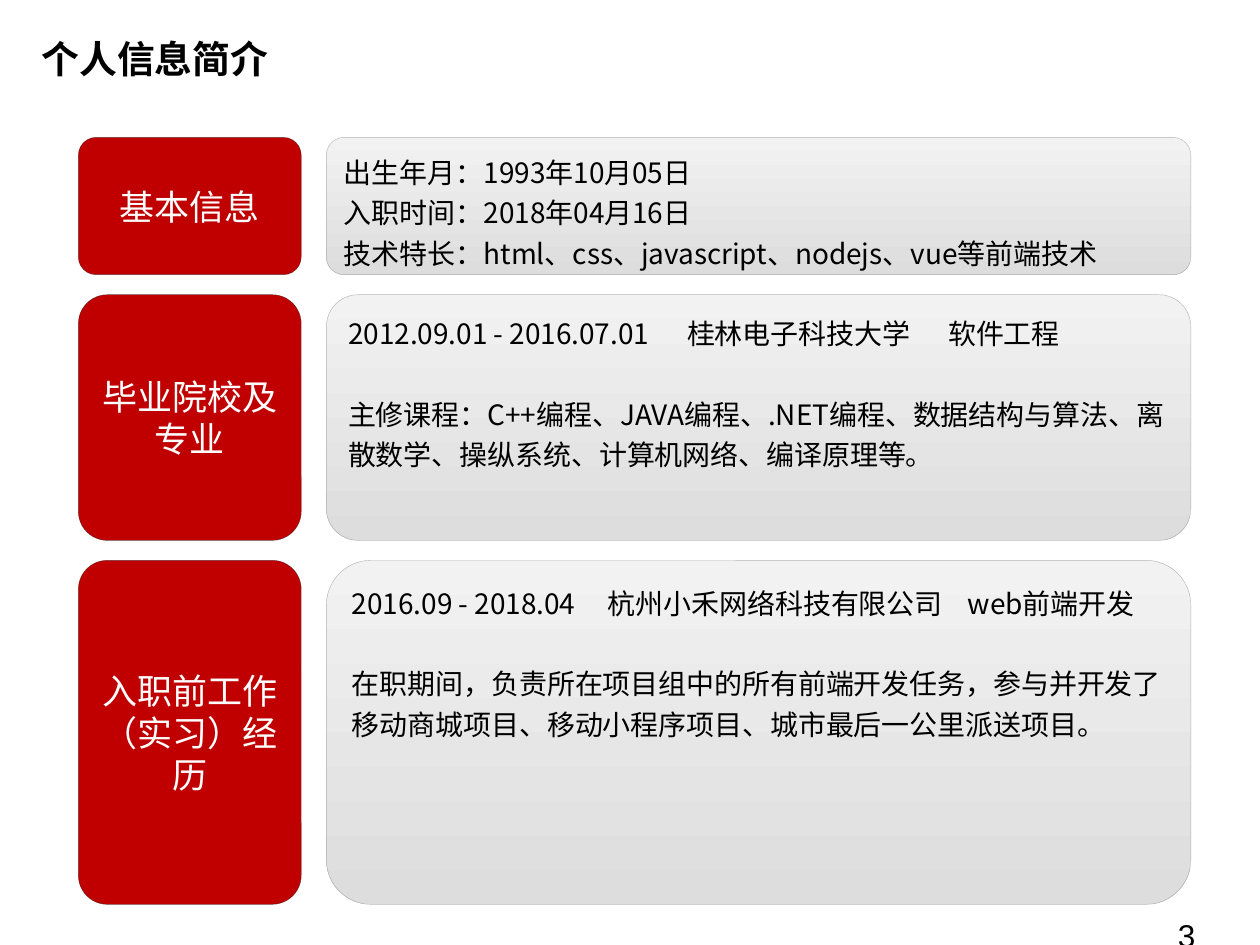
from lxml import etree
from pptx import Presentation
from pptx.dml.color import RGBColor
from pptx.enum.shapes import MSO_SHAPE
from pptx.enum.text import MSO_ANCHOR, PP_ALIGN
from pptx.oxml.ns import qn
from pptx.util import Pt

ROUND = MSO_SHAPE.ROUNDED_RECTANGLE
TOP, MIDDLE = MSO_ANCHOR.TOP, MSO_ANCHOR.MIDDLE
LEFT, CENTER = PP_ALIGN.LEFT, PP_ALIGN.CENTER


class Theme:
    # Colours
    black = RGBColor(0, 0, 0)
    white = RGBColor(255, 255, 255)
    red = RGBColor(0xC0, 0, 0)
    light = RGBColor(0xF2, 0xF2, 0xF2)
    gray = RGBColor(0xDD, 0xDD, 0xDD)
    dark_edge = RGBColor(0x1C, 0x1C, 0x1C)
    gray_edge = RGBColor(0x96, 0x96, 0x96)
    # Type
    font, digit = "Noto Sans CJK SC", "Arial"
    title, label, body, number = 21.6, 20, 16, 18


class Deck:
    def __init__(self, theme):
        self.theme = theme
        self.deck = Presentation()
        self.deck.slide_width, self.deck.slide_height = Pt(720), Pt(540)
        self.slide = self.deck.slides.add_slide(self.deck.slide_layouts[6])

    def run(self, para, words, size, color, bold=False, font=None):
        run = para.add_run()
        run.text = words
        name = font or self.theme.font
        run.font.name, run.font.size = name, Pt(size)
        run.font.bold, run.font.color.rgb = bold, color
        east = etree.SubElement(run.font._element, qn("a:ea"))
        east.set("typeface", name)

    def text(self, box, words, size, bold=False, font=None):
        frame = self.slide.shapes.add_textbox(*map(Pt, box)).text_frame
        frame.word_wrap = True
        self.run(frame.paragraphs[0], words, size, self.theme.black, bold, font)

    def card(self, box, edge, alpha, anchor):
        shape = self.slide.shapes.add_shape(ROUND, *map(Pt, box))
        shape.adjustments[0] = 0.13
        shape.shadow.inherit = False
        shape.line.color.rgb, shape.line.width = edge, Pt(0.25)
        tint = shape.line._ln.find(".//" + qn("a:srgbClr"))
        etree.SubElement(tint, qn("a:alpha")).set("val", str(alpha * 1000))
        shape.text_frame.word_wrap = True
        shape.text_frame.vertical_anchor = anchor
        return shape

    def label(self, box, words):
        shape = self.card(box, self.theme.dark_edge, 57, MIDDLE)
        shape.fill.solid()
        shape.fill.fore_color.rgb = self.theme.red
        para = shape.text_frame.paragraphs[0]
        para.alignment = CENTER
        self.run(para, words, self.theme.label, self.theme.white)

    def panel(self, box, lines, tabs, gap):
        shape = self.card(box, self.theme.gray_edge, 68, TOP)
        shape.fill.gradient()
        shape.fill.gradient_angle = 270
        for stop, color in zip(shape.fill.gradient_stops,
                               (self.theme.light, self.theme.gray)):
            stop.color.rgb = color
        frame = shape.text_frame
        for i, words in enumerate(lines):
            para = frame.add_paragraph() if i else frame.paragraphs[0]
            para.alignment, para.line_spacing = LEFT, 1.2
            para.space_before = Pt(gap if i else 0)
            if tabs and "\t" in words:
                self.stops(para, tabs)
            self.run(para, words, self.theme.body, self.theme.black)

    def stops(self, para, tabs):
        group = etree.SubElement(para._p.get_or_add_pPr(), qn("a:tabLst"))
        for place in tabs:
            tab = etree.SubElement(group, qn("a:tab"))
            tab.set("pos", str(Pt(place)))
            tab.set("algn", "l")


# Rows: height, label, lines, tab stops, space between paragraphs
ROWS = [
    (78.5, "基本信息",
     ["出生年月：1993年10月05日",
      "入职时间：2018年04月16日",
      "技术特长：html、css、javascript、nodejs、vue等前端技术"], (), 0),
    (140.4, "毕业院校及专业",
     ["2012.09.01 - 2016.07.01\t桂林电子科技大学\t软件工程",
      "主修课程：C++编程、JAVA编程、.NET编程、数据结构与算法、"
      "离散数学、操纵系统、计算机网络、编译原理等。"], (193.7, 342.9), 23.1),
    (196.6, "入职前工作（实习）经历",
     ["2016.09 - 2018.04\t杭州小禾网络科技有限公司\tweb前端开发",
      "在职期间，负责所在项目组中的所有前端开发任务，参与并开发了 "
      "移动商城项目、移动小程序项目、城市最后一公里派送项目。"],
     (146.3, 352), 23.1),
]


def main():
    theme = Theme()
    page = Deck(theme)

    # Title and page number
    page.text((16.6, 16.6, 272, 30), "个人信息简介", theme.title, bold=True)
    page.text((666, 519.8, 46.8, 11.5), "3", theme.number, font=theme.digit)

    # Label and panel in each row
    top, gap = 78.5, 11.4
    for height, name, lines, tabs, space in ROWS:
        page.label((44.8, top, 127.4, height), name)
        page.panel((186.5, top, 494, height), lines, tabs, space)
        top += height + gap

    page.deck.save("out.pptx")


if __name__ == "__main__":
    main()
